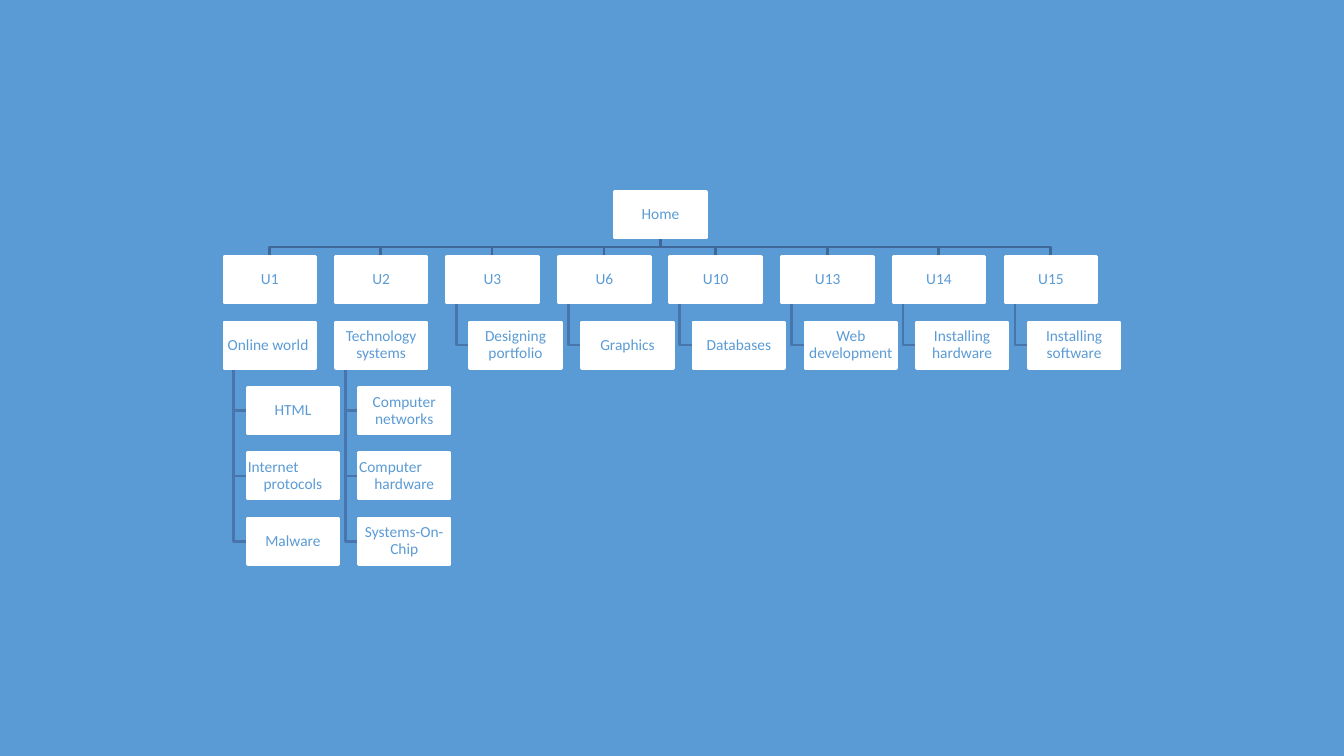
from dataclasses import dataclass

from pptx import Presentation
from pptx import util as u
from pptx.dml.color import RGBColor
from pptx.enum import shapes, text
from pptx.slide import Slide

EMU_PER_PX = 6350
COLORS = {"sky": "5B9BD5", "white": "FFFFFF", "bus": "3F6797", "branch": "4875AC"}
LEFT, TOP = 320, 274
UNIT_SPAN = 1116
BOX_W, BOX_H = 131, 66
INDENT = 33
TRUNK_INSET = 14
BUS_GAP = 14


@dataclass(frozen=True)
class Unit:
    title: str
    topic: str
    lessons: tuple[str, ...] = ()


@dataclass(frozen=True)
class Box:
    label: str
    x: int
    y: int

    @property
    def center_x(self) -> int:
        return self.x + BOX_W // 2

    @property
    def middle_y(self) -> int:
        return self.y + BOX_H // 2

    @property
    def bottom(self) -> int:
        return self.y + BOX_H


@dataclass(frozen=True)
class Link:
    points: tuple[tuple[int, int], ...]
    color: str


UNITS = [
    Unit("U1", "Online world ", ("HTML", "Internet\nprotocols", "Malware")),
    Unit("U2", "Technology systems",
         ("Computer networks", "Computer\nhardware", "Systems-On-Chip")),
    Unit("U3", "Designing portfolio"),
    Unit("U6", "Graphics"),
    Unit("U10", "Databases"),
    Unit("U13", "Web development"),
    Unit("U14", "Installing hardware"),
    Unit("U15", "Installing software"),
]


def px(value: int) -> u.Emu:
    return u.Emu(value * EMU_PER_PX)


def rgb(name: str) -> RGBColor:
    return RGBColor.from_string(COLORS[name])


def row_y(row: int) -> int:
    return TOP + row * 280 // 3


def bus_link(home: Box, unit: Box) -> Link:
    bus_y = unit.y - BUS_GAP
    return Link(((home.center_x, home.bottom), (home.center_x, bus_y),
                 (unit.center_x, bus_y), (unit.center_x, unit.y)), "bus")


def branch_link(parent: Box, child: Box) -> Link:
    trunk_x = parent.x + TRUNK_INSET
    return Link(((trunk_x, parent.bottom), (trunk_x, child.middle_y),
                 (child.x, child.middle_y)), "branch")


def lay_out() -> tuple[list[Box], list[Link]]:
    home = Box("Home", LEFT + UNIT_SPAN // 2, row_y(0))
    boxes, links = [home], []
    for i, unit in enumerate(UNITS):
        x = LEFT + i * UNIT_SPAN // (len(UNITS) - 1)
        head = Box(unit.title, x, row_y(1))
        topic = Box(unit.topic, x if unit.lessons else x + INDENT, row_y(2))
        lessons = [Box(label, x + INDENT, row_y(3 + n))
                   for n, label in enumerate(unit.lessons)]
        boxes += [head, topic, *lessons]
        links.append(bus_link(home, head))
        if lessons:
            links += [branch_link(topic, lesson) for lesson in lessons]
        else:
            links.append(branch_link(head, topic))
    return boxes, links


def draw_link(s: Slide, link: Link) -> None:
    start, *rest = link.points
    builder = s.shapes.build_freeform(*start, scale=EMU_PER_PX)
    builder.add_line_segments(rest, close=False)
    sp = builder.convert_to_shape()
    sp.shadow.inherit = False
    sp.fill.background()
    sp.line.color.rgb = rgb(link.color)
    sp.line.width = u.Pt(2)


def draw_box(s: Slide, box: Box) -> None:
    sp = s.shapes.add_shape(shapes.MSO_SHAPE.RECTANGLE, px(box.x), px(box.y),
                            px(BOX_W), px(BOX_H))
    sp.shadow.inherit = False
    sp.fill.solid()
    sp.fill.fore_color.rgb = rgb("white")
    sp.line.color.rgb = rgb("white")
    sp.line.width = u.Pt(2)
    tf = sp.text_frame
    tf.word_wrap = True
    tf.vertical_anchor = text.MSO_ANCHOR.MIDDLE
    tf.margin_left = tf.margin_right = tf.margin_top = tf.margin_bottom = px(1)
    tf.text = box.label
    for p in tf.paragraphs:
        p.alignment = text.PP_ALIGN.CENTER
        p.line_spacing = 0.9
        for r in p.runs:
            r.font.name = "Calibri"
            r.font.size = u.Pt(11)
            r.font.color.rgb = rgb("sky")
    if len(tf.paragraphs) > 1:
        tf.paragraphs[0].alignment = text.PP_ALIGN.LEFT


def main() -> None:
    prs = Presentation()
    prs.slide_width, prs.slide_height = px(1920), px(1080)
    s = prs.slides.add_slide(prs.slide_layouts[6])
    s.background.fill.solid()
    s.background.fill.fore_color.rgb = rgb("sky")
    boxes, links = lay_out()
    for link in links:
        draw_link(s, link)
    for box in boxes:
        draw_box(s, box)
    prs.save("out.pptx")


if __name__ == "__main__":
    main()
